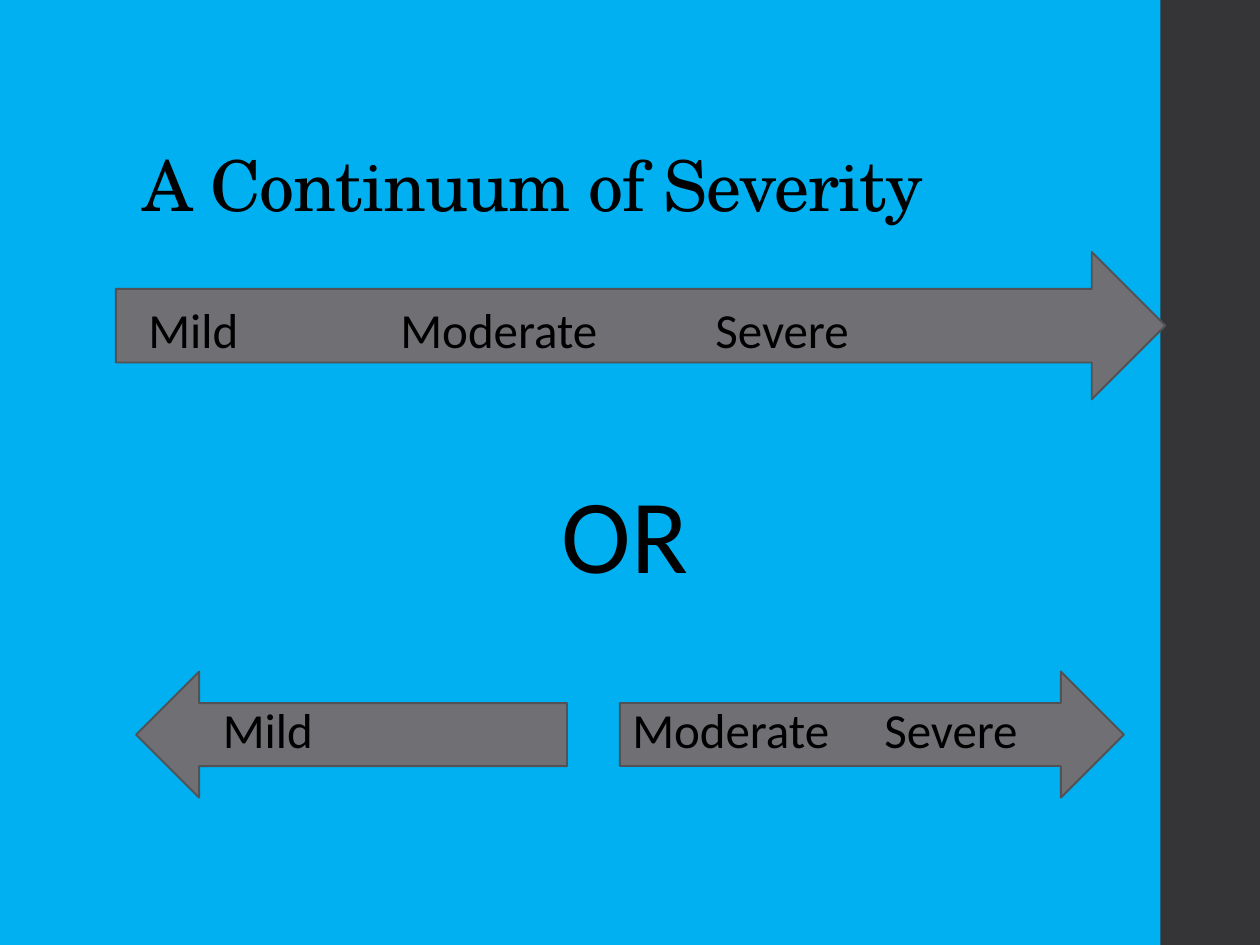
from dataclasses import dataclass

from pptx import Presentation
from pptx.dml.color import RGBColor as RGB
from pptx.enum.shapes import MSO_SHAPE as Shape
from pptx.enum.text import MSO_ANCHOR as Anchor, PP_ALIGN as Align
from pptx.util import Inches, Pt


@dataclass(frozen=True)
class Theme:
    background = RGB(0x00, 0xB0, 0xF0)
    band = RGB(0x35, 0x35, 0x37)
    arrow = RGB(0x6F, 0x6F, 0x74)
    outline = RGB(0x52, 0x52, 0x56)
    text = RGB(0, 0, 0)
    title_font = "TeX Gyre Schola"
    body_font = "Calibri"
    title_size = Pt(40)
    label_size = Pt(28)
    or_size = Pt(60)


theme = Theme()


def add_filled(kind, box, fill, line=None):
    sp = s.shapes.add_shape(kind, *map(Inches, box))
    sp.shadow.inherit = False
    sp.fill.solid()
    sp.fill.fore_color.rgb = fill
    if line is None:
        sp.line.fill.background()
    else:
        sp.line.color.rgb = line
        sp.line.width = Pt(1.1)
    return sp


def add_text(text, box, size, font=theme.body_font, align=Align.LEFT):
    tf = s.shapes.add_textbox(*map(Inches, box)).text_frame
    tf.word_wrap = True
    p = tf.paragraphs[0]
    p.text = text
    p.alignment = align
    r = p.runs[0]
    r.font.name = font
    r.font.size = size
    r.font.color.rgb = theme.text
    return tf


prs = Presentation()
prs.slide_width, prs.slide_height = Inches(10), Inches(7.5)
s = prs.slides.add_slide(prs.slide_layouts[6])
s.background.fill.solid()
s.background.fill.fore_color.rgb = theme.background

add_filled(Shape.RECTANGLE, (9.21, 0, 0.8, 7.5), theme.band)

title = add_text("A Continuum of Severity", (1.03, 0.4, 7.95, 1.45),
                 theme.title_size, theme.title_font)
title.vertical_anchor = Anchor.BOTTOM
title.paragraphs[0].line_spacing = 0.9
title.paragraphs[0].runs[0].font._element.set("spc", "-50")

# One continuum above, two opposite directions below
arrows = [
    ((0.92, 2, 8.33, 1.17), 0),
    ((4.92, 5.33, 4, 1), 0),
    ((1.08, 5.33, 3.42, 1), 180),
]
for box, rotation in arrows:
    arrow = add_filled(Shape.RIGHT_ARROW, box, theme.arrow, theme.outline)
    arrow.rotation = rotation

# Tabs fall on the default one-inch stops
labels = [
    ("Mild \t\t\tModerate\t \tSevere", (1.08, 2.33, 8, 0.57)),
    ("Mild ", (1.67, 5.5, 1.58, 0.57)),
    ("Moderate \tSevere", (4.92, 5.5, 4.5, 0.57)),
]
for text, box in labels:
    add_text(text, box, theme.label_size)

add_text("OR", (4.17, 3.67, 1.58, 1.11), theme.or_size, align=Align.CENTER)

prs.save("out.pptx")
